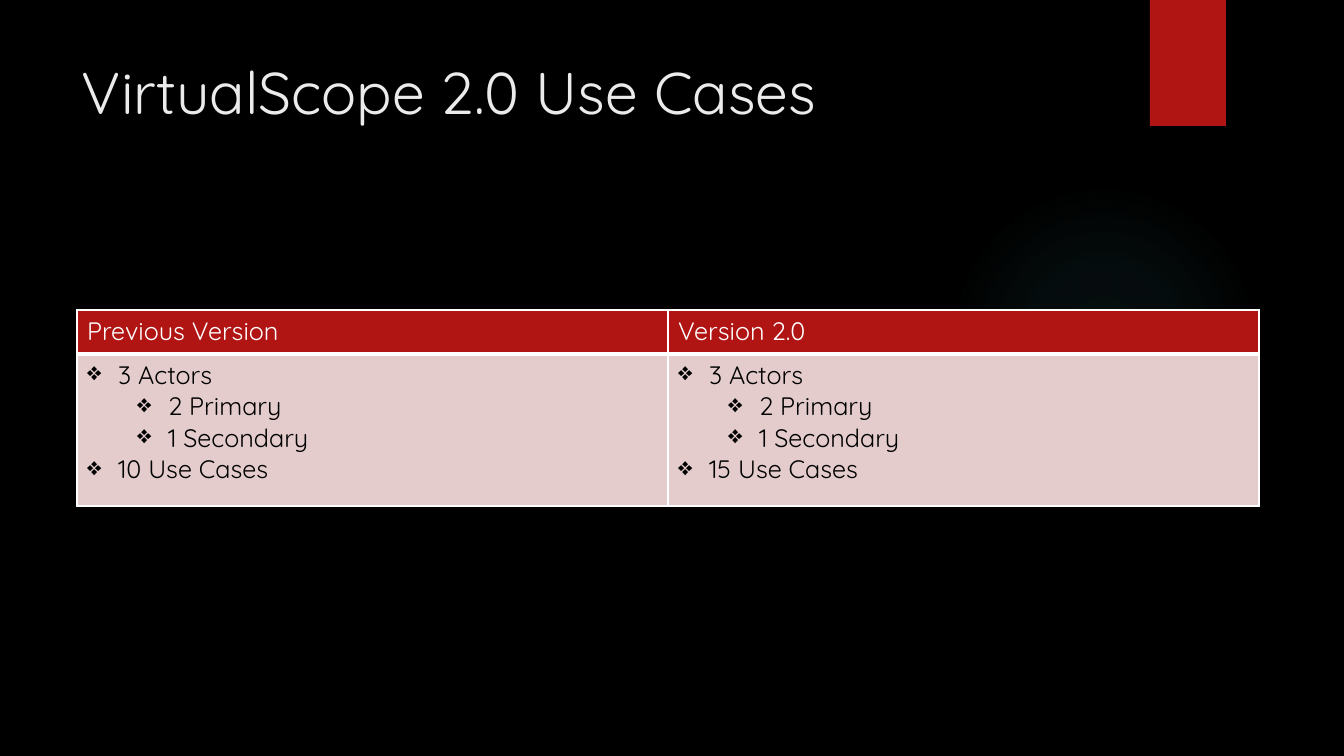
from typing import NamedTuple

from lxml.etree import SubElement
from pptx import Presentation
from pptx.dml.color import RGBColor
from pptx.enum.shapes import MSO_SHAPE as Shape
from pptx.enum.text import MSO_ANCHOR as Anchor
from pptx.oxml import parse_xml
from pptx.oxml.ns import nsdecls, qn
from pptx.util import Emu, Pt

EMU_PER_PX = 914400 / 100.8
FONT = "Quicksand"
COLORS = {
    "background": "000000",
    "title": "EBEBEB",
    "accent": "B01513",
    "glow": "50B9C1",
    "body_fill": "E4CCCC",
    "body_text": "000000",
    "white": "FFFFFF",
}
GLOW_STOPS = ((0, 7), (36, 6), (69, 0))  # position %, opacity %
BULLET = "❖"
HANGING = 31
LEVEL_STEP = 50


class Box(NamedTuple):
    left: int
    top: int
    width: int
    height: int


class Item(NamedTuple):
    text: str
    level: int = 0


class Version(NamedTuple):
    heading: str
    items: tuple[Item, ...]


ACTORS = (Item("3 Actors"), Item("2 Primary", 1), Item("1 Secondary", 1))
VERSIONS = (
    Version("Previous Version", ACTORS + (Item("10 Use Cases"),)),
    Version("Version 2.0", ACTORS + (Item("15 Use Cases"),)),
)
GLOW = Box(949, 184, 310, 310)
RIBBON = Box(1150, 0, 76, 126)
TITLE = Box(72, 50, 1037, 81)
TABLE = Box(77, 310, 1182, 196)
HEADER_HEIGHT = 44


def px(length: int) -> Emu:
    return Emu(round(length * EMU_PER_PX))


def place(box: Box) -> tuple[Emu, ...]:
    return tuple(px(length) for length in box)


def rgb(name: str) -> RGBColor:
    return RGBColor.from_string(COLORS[name])


def write(paragraph, text: str, *, size: int = 18, color: str = "body_text") -> None:
    paragraph.text = text
    font = paragraph.runs[0].font
    font.name, font.size, font.bold = FONT, Pt(size), False
    font.color.rgb = rgb(color)


def add_plain_shape(slide, kind: Shape, box: Box):
    shape = slide.shapes.add_shape(kind, *place(box))
    shape.shadow.inherit = False
    shape.line.fill.background()
    return shape


def add_glow(slide) -> None:
    """Draw the faint radial light behind the table."""
    glow = add_plain_shape(slide, Shape.OVAL, GLOW)
    glow.fill.background()
    stops = "".join(
        f'<a:gs pos="{position * 1000}"><a:srgbClr val="{COLORS["glow"]}">'
        f'<a:alpha val="{opacity * 1000}"/></a:srgbClr></a:gs>'
        for position, opacity in GLOW_STOPS
    )
    gradient = parse_xml(
        f'<a:gradFill {nsdecls("a")}><a:gsLst>{stops}</a:gsLst><a:path path="circle">'
        '<a:fillToRect l="50000" t="50000" r="50000" b="50000"/></a:path></a:gradFill>'
    )
    properties = glow.element.spPr
    properties.replace(properties.find(qn("a:noFill")), gradient)


def add_ribbon(slide) -> None:
    ribbon = add_plain_shape(slide, Shape.RECTANGLE, RIBBON)
    ribbon.fill.solid()
    ribbon.fill.fore_color.rgb = rgb("accent")


def add_title(slide) -> None:
    frame = slide.shapes.add_textbox(*place(TITLE)).text_frame
    frame.word_wrap = True
    frame.vertical_anchor = Anchor.MIDDLE
    write(frame.paragraphs[0], "VirtualScope 2.0 Use Cases", size=42, color="title")


def style_cell(cell, fill: str, *, top: int = 1, bottom: int = 1) -> None:
    """Fill a cell and give it white borders, widths in points."""
    cell.fill.solid()
    cell.fill.fore_color.rgb = rgb(fill)
    properties = cell._tc.get_or_add_tcPr()
    widths = {"lnL": 1, "lnR": 1, "lnT": top, "lnB": bottom}
    for index, (side, width) in enumerate(widths.items()):
        border = parse_xml(
            f'<a:{side} {nsdecls("a")} w="{Pt(width)}"><a:solidFill>'
            f'<a:srgbClr val="{COLORS["white"]}"/></a:solidFill></a:{side}>'
        )
        properties.insert(index, border)


def write_item(paragraph, item: Item) -> None:
    paragraph.level = item.level
    properties = paragraph._p.get_or_add_pPr()
    properties.set("marL", str(px(HANGING + LEVEL_STEP * item.level)))
    properties.set("indent", str(-px(HANGING)))
    SubElement(properties, qn("a:buChar"), char=BULLET)
    write(paragraph, item.text)


def add_versions_table(slide) -> None:
    frame = slide.shapes.add_table(2, len(VERSIONS), *place(TABLE))
    table = frame.table
    table.rows[0].height = px(HEADER_HEIGHT)
    table.rows[1].height = px(TABLE.height - HEADER_HEIGHT)
    for column, version in enumerate(VERSIONS):
        table.columns[column].width = px(TABLE.width // len(VERSIONS))
        header, body = table.cell(0, column), table.cell(1, column)
        style_cell(header, "accent", bottom=3)
        style_cell(body, "body_fill", top=3)
        write(header.text_frame.paragraphs[0], version.heading, color="white")
        text = body.text_frame
        for index, item in enumerate(version.items):
            write_item(text.add_paragraph() if index else text.paragraphs[0], item)


def main() -> None:
    deck = Presentation()
    deck.slide_width, deck.slide_height = px(1344), px(756)
    slide = deck.slides.add_slide(deck.slide_layouts[6])
    slide.background.fill.solid()
    slide.background.fill.fore_color.rgb = rgb("background")
    add_glow(slide)
    add_ribbon(slide)
    add_title(slide)
    add_versions_table(slide)
    deck.save("out.pptx")


if __name__ == "__main__":
    main()
